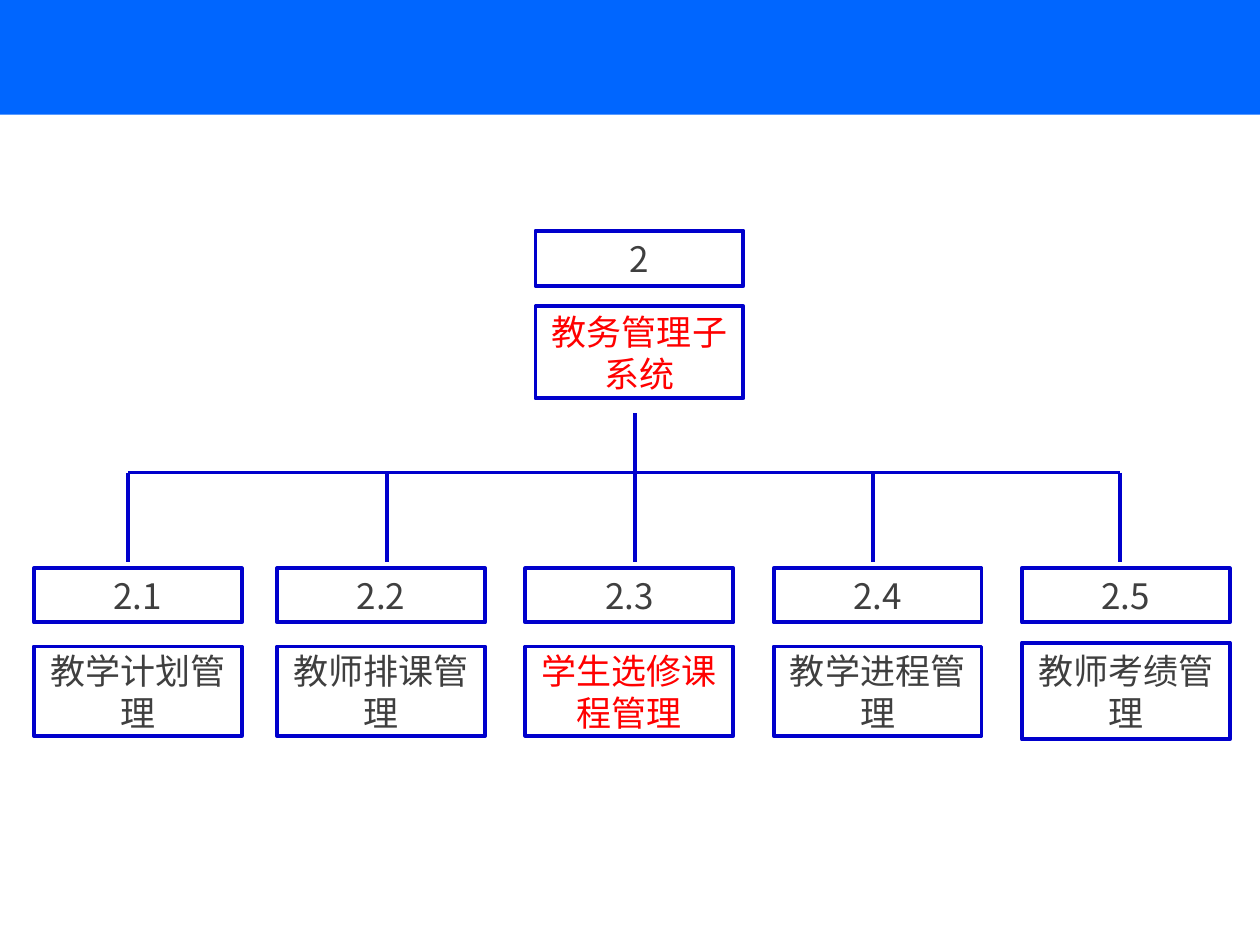
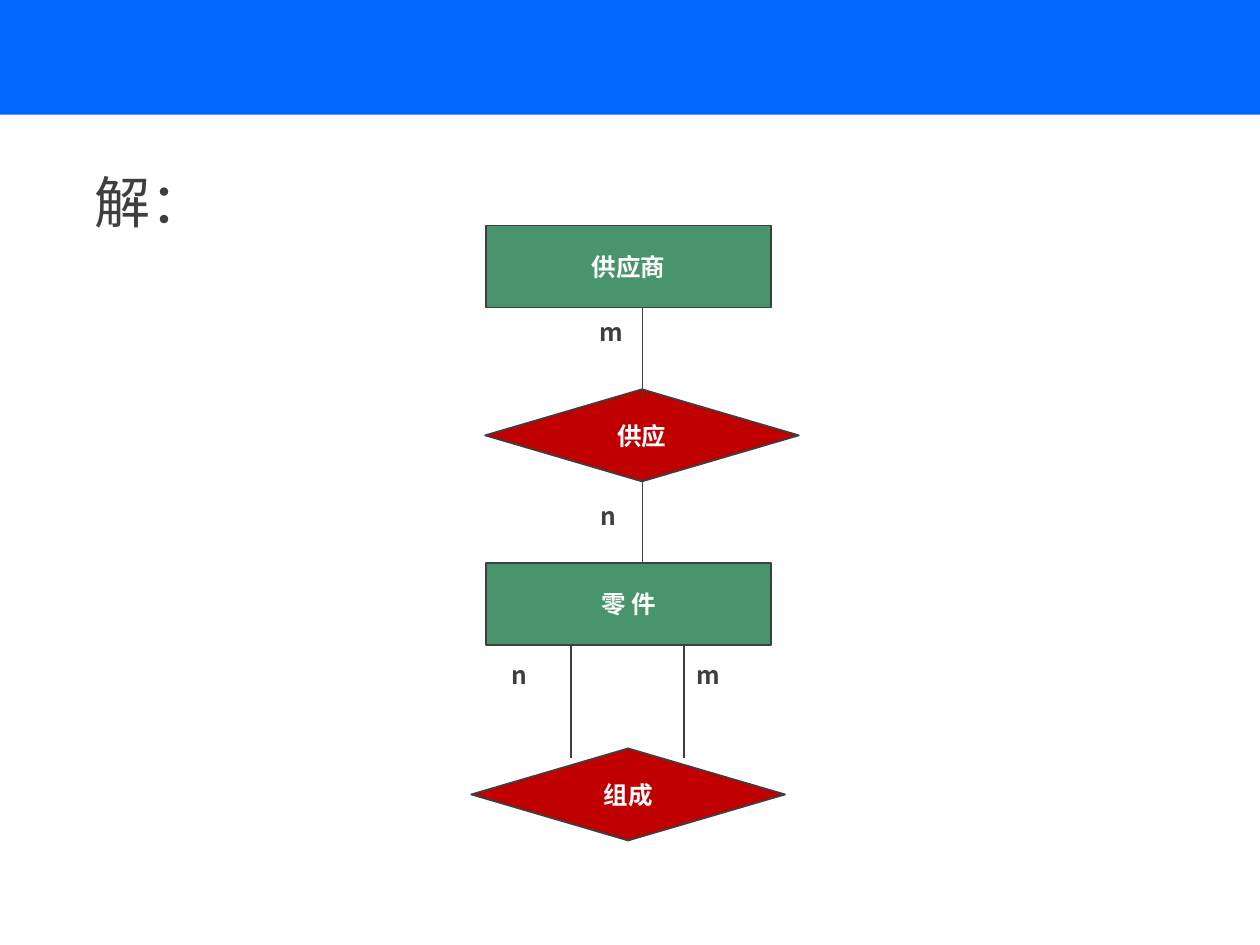
from dataclasses import dataclass

from lxml.etree import SubElement
from pptx import Presentation
from pptx.dml.color import RGBColor
from pptx.enum.shapes import MSO_CONNECTOR as Link, MSO_SHAPE as Form
from pptx.enum.text import MSO_ANCHOR as Anchor, PP_ALIGN as Align
from pptx.oxml.ns import qn
from pptx.util import Pt


@dataclass(frozen=True)
class Theme:
    font: str = "Noto Sans CJK SC"
    band: str = "0066FF"
    frame: str = "0000CC"
    ink: str = "3F3F3F"
    red: str = "FF0000"
    green: str = "48946D"
    wine: str = "C00000"
    white: str = "FFFFFF"
    small: int = 14
    mid: int = 20
    large: int = 32
    thin: float = 1
    thick: float = 2.25


def write(shape, text, size, color, bold=False, wrap=True,
          align=Align.LEFT, anchor=Anchor.TOP, font=Theme.font):
    frame = shape.text_frame
    frame.word_wrap = wrap
    frame.vertical_anchor = anchor
    para = frame.paragraphs[0]
    para.alignment = align
    run = para.add_run()
    run.text = text
    run.font.size = Pt(size)
    run.font.bold = bold
    run.font.color.rgb = RGBColor.from_string(color)
    run.font.name = font
    SubElement(run.font._element, qn("a:ea"), typeface=font)


class Deck:
    def __init__(self, theme):
        self.theme = theme
        self.file = Presentation()
        self.file.slide_width, self.file.slide_height = Pt(720), Pt(540)
        self.slide = None

    def page(self):
        self.slide = self.file.slides.add_slide(self.file.slide_layouts[6])
        self.block(0, 0, 723, 65.6, fill=self.theme.band)

    def block(self, x, y, wide, high, form=Form.RECTANGLE,
              fill=None, line=None, width=1):
        shape = self.slide.shapes.add_shape(form, Pt(x), Pt(y), Pt(wide), Pt(high))
        shape.shadow.inherit = False
        if fill:
            shape.fill.solid()
            shape.fill.fore_color.rgb = RGBColor.from_string(fill)
        else:
            shape.fill.background()
        if line:
            shape.line.color.rgb = RGBColor.from_string(line)
            shape.line.width = Pt(width)
        else:
            shape.line.fill.background()
        return shape

    def cell(self, text, x, y, high, color):
        look = self.theme
        shape = self.block(x, y, 118.8, high, line=look.frame, width=look.thick)
        write(shape, text, look.mid, color, align=Align.CENTER, anchor=Anchor.MIDDLE)

    def node(self, text, x, y, wide, high, form, fill):
        look = self.theme
        shape = self.block(x, y, wide, high, form, fill, look.ink, look.thin)
        write(shape, text, look.small, look.white, bold=True, wrap=False,
              align=Align.CENTER, anchor=Anchor.MIDDLE)

    def entity(self, text, y):
        self.node(text, 277.9, y, 162.7, 46.8, Form.RECTANGLE, self.theme.green)

    def bond(self, text, x, y):
        self.node(text, x, y, 179.3, 52.6, Form.FLOWCHART_DECISION, self.theme.wine)

    def line(self, x1, y1, x2, y2, color, width):
        link = self.slide.shapes.add_connector(
            Link.STRAIGHT, Pt(x1), Pt(y1), Pt(x2), Pt(y2))
        link.line.color.rgb = RGBColor.from_string(color)
        link.line.width = Pt(width)
        SubElement(link._element.spPr, qn("a:effectLst"))

    def label(self, text, x, y, wide, high, size, bold=True):
        box = self.slide.shapes.add_textbox(Pt(x), Pt(y), Pt(wide), Pt(high))
        write(box, text, size, self.theme.ink, bold=bold, wrap=False)


def draw_tree(deck):
    look = deck.theme
    deck.page()
    deck.cell("2", 306, 131.8, 31.7, look.ink)
    deck.cell("教务管理子系统", 306, 175, 52.6, look.red)

    tasks = ["教学计划管理", "教师排课管理", "学生选修课程管理",
             "教学进程管理", "教师考绩管理"]
    left = [19.4] + [158.4 + 141.84 * i for i in range(4)]
    for i, (task, x) in enumerate(zip(tasks, left), 1):
        deck.cell(f"2.{i}", x, 324.7, 31, look.ink)
        y, high = (367.2, 55.4) if i == 5 else (369.4, 51.1)
        deck.cell(task, x, y, high, look.red if i == 3 else look.ink)

    stems = [73.4, 221, 362.9, 499, 640.1]
    rail = 270
    deck.line(stems[0], rail, stems[-1], rail, look.frame, look.thick)
    for i, x in enumerate(stems):
        deck.line(x, 236.2 if i == 2 else rail, x, 321.1, look.frame, look.thick)


def draw_model(deck):
    look = deck.theme
    deck.page()
    deck.entity("供应商", 128.9)
    deck.entity("零 件", 321.8)
    deck.bond("供应", 277.2, 222.5)
    deck.bond("组成", 269.3, 427.7)
    for x, top, end in [(367.2, 175.7, 228.2), (367.2, 275, 321.8),
                        (326.2, 368.6, 433.4), (391, 368.6, 433.4)]:
        deck.line(x, top, x, end, look.ink, look.thin)
    deck.label("解：", 46.8, 92.2, 78.5, 46.1, look.large, bold=False)
    for text, x, y in [("m", 335.5, 177.8), ("n", 336.2, 283),
                       ("n", 285.1, 373.7), ("m", 391, 373.7)]:
        deck.label(text, x, y, 28, 24.5, look.small)


def main():
    deck = Deck(Theme())
    draw_tree(deck)
    draw_model(deck)
    deck.file.save("out.pptx")


if __name__ == "__main__":
    main()
